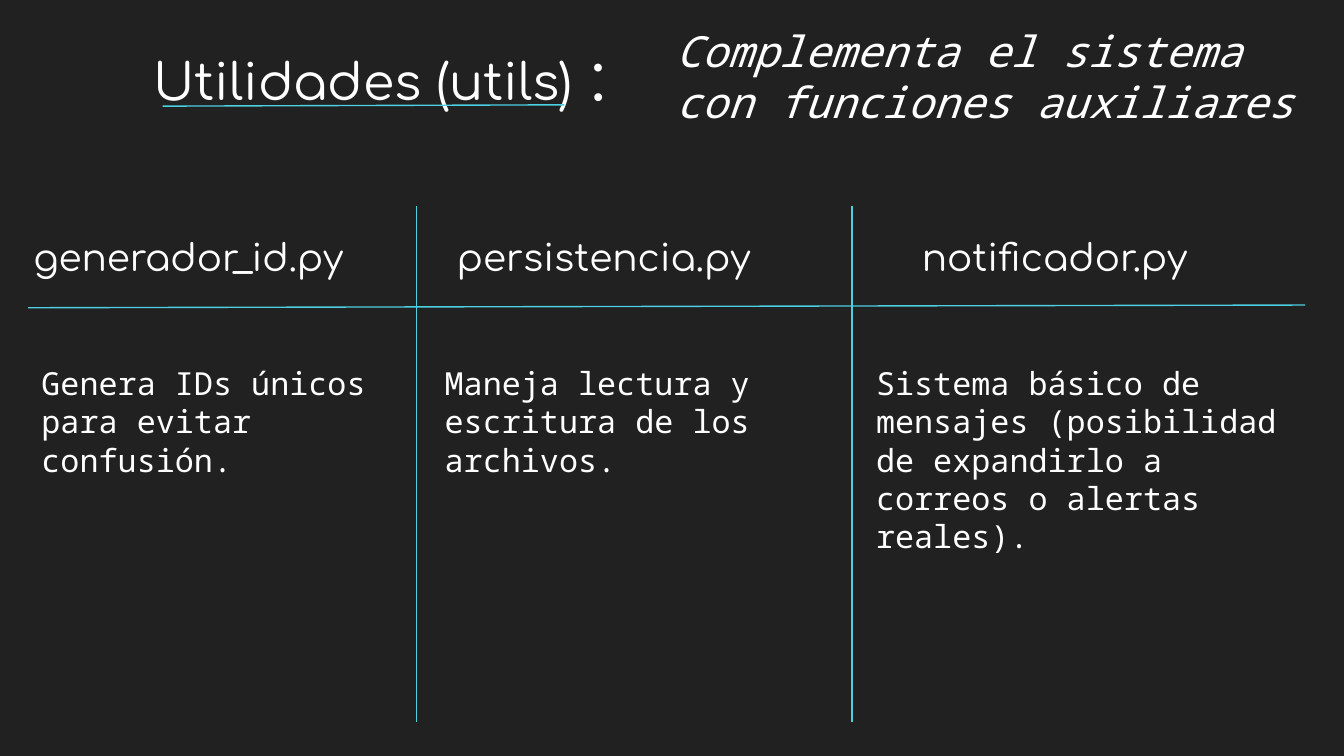
import pptx
import pptx.dml.color
import pptx.enum.shapes
import pptx.enum.text
import pptx.oxml.ns
import pptx.util
from lxml import etree
from pptx.util import Inches

COLORS = {"background": "212121", "text": "FFFFFF", "accent": "4DD0E1"}
RGB = {name: pptx.dml.color.RGBColor.from_string(value) for name, value in COLORS.items()}
HEADING_FONT, BODY_FONT = "Comfortaa", "Noto Sans Mono"
FIXED = pptx.enum.text.MSO_AUTO_SIZE.NONE
GROW = pptx.enum.text.MSO_AUTO_SIZE.SHAPE_TO_FIT_TEXT


def write_text(box, spans, font_name, auto_size=FIXED, italic=False):
    frame = box.text_frame
    frame_format = {
        "word_wrap": True,
        "auto_size": auto_size,
        "vertical_anchor": pptx.enum.text.MSO_ANCHOR.TOP,
        "margin_left": Inches(0.1), "margin_right": Inches(0.1),
        "margin_top": Inches(0.1), "margin_bottom": Inches(0.1),
    }
    for name, value in frame_format.items():
        setattr(frame, name, value)
    para = frame.paragraphs[0]
    para.alignment = pptx.enum.text.PP_ALIGN.LEFT
    for text, size in spans:
        span = para.add_run()
        span.text = text
        font_format = {"name": font_name, "size": pptx.util.Pt(size), "italic": italic}
        for name, value in font_format.items():
            setattr(span.font, name, value)
        span.font.color.rgb = RGB["text"]


# Widescreen 16:9 page
deck = pptx.Presentation()
deck.slide_width = Inches(10)
deck.slide_height = deck.slide_width * 9 // 16
page = deck.slides.add_slide(deck.slide_layouts[5])
page.background.fill.solid()
page.background.fill.fore_color.rgb = RGB["background"]

# Title and subtitle
title = page.shapes.title
title.left, title.top = Inches(1.04), Inches(0.15)
title.width, title.height = Inches(3.89), Inches(0.63)
write_text(title, [("Utilidades (utils)", 27), (" :", 36)], HEADING_FONT)

subtitle = page.shapes.add_textbox(Inches(4.93), Inches(0.08), Inches(5.07), Inches(1.01))
write_text(subtitle, [("Complementa el sistema con funciones auxiliares", 23)], BODY_FONT, italic=True)

# Title underline, header rule and column dividers
rules = [
    (1.21, 0.79, 4.2, 0.78),
    (0.21, 2.29, 9.71, 2.27),
    (3.1, 1.53, 3.1, 5.37),
    (6.34, 1.53, 6.34, 5.37),
]
for ends in rules:
    rule = page.shapes.add_connector(
        pptx.enum.shapes.MSO_CONNECTOR.STRAIGHT, *[Inches(end) for end in ends])
    rule.line.color.rgb = RGB["accent"]
    rule.line.width = pptx.util.Pt(0.75)
    etree.SubElement(rule._element.spPr, pptx.oxml.ns.qn("a:effectLst"))

# Columns: heading (left, width, text), then description (left, width, height, text)
columns = [
    ((0.15, 2.61, "generador_id.py"),
     (0.21, 2.81, 1.06, "Genera IDs únicos para evitar confusión.")),
    ((3.3, 2.61, "persistencia.py"),
     (3.21, 3.05, 1.06, "Maneja lectura y escritura de los archivos.")),
    ((6.76, 3.05, "notificador.py"),
     (6.42, 3.2, 1.63, "Sistema básico de mensajes (posibilidad de expandirlo a correos o alertas reales).")),
]
for (left, width, text), description in columns:
    heading = page.shapes.add_textbox(Inches(left), Inches(1.64), Inches(width), Inches(0.54))
    write_text(heading, [(text, 20)], HEADING_FONT, GROW)
    left, width, height, text = description
    body = page.shapes.add_textbox(Inches(left), Inches(2.61), Inches(width), Inches(height))
    write_text(body, [(text, 17)], BODY_FONT, GROW)

deck.save("out.pptx")
